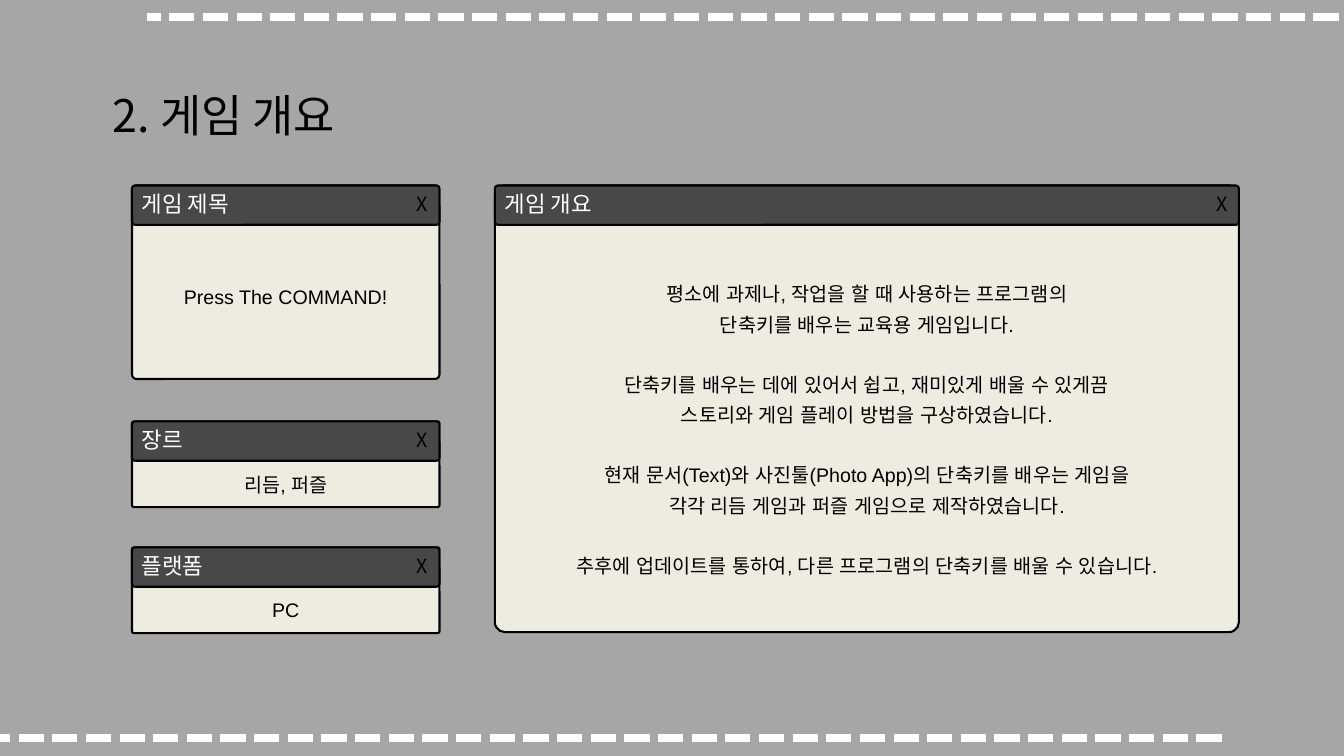
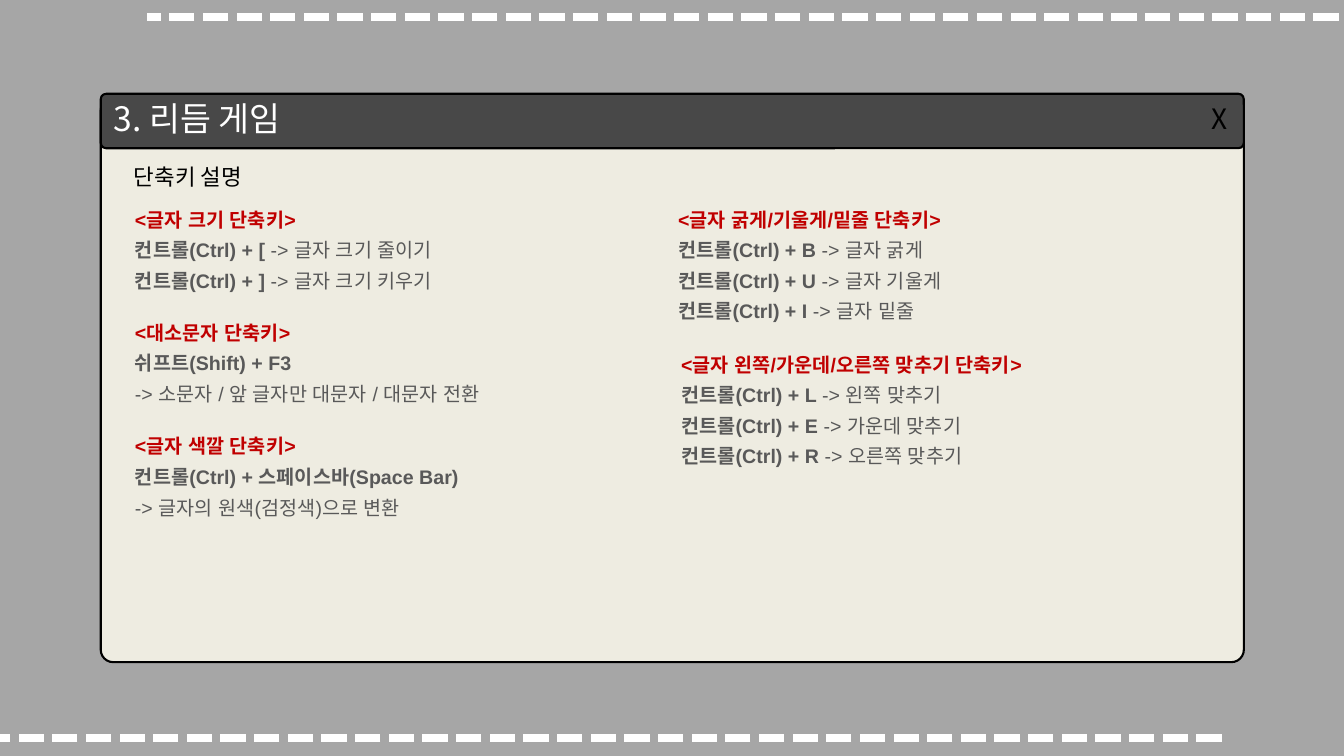
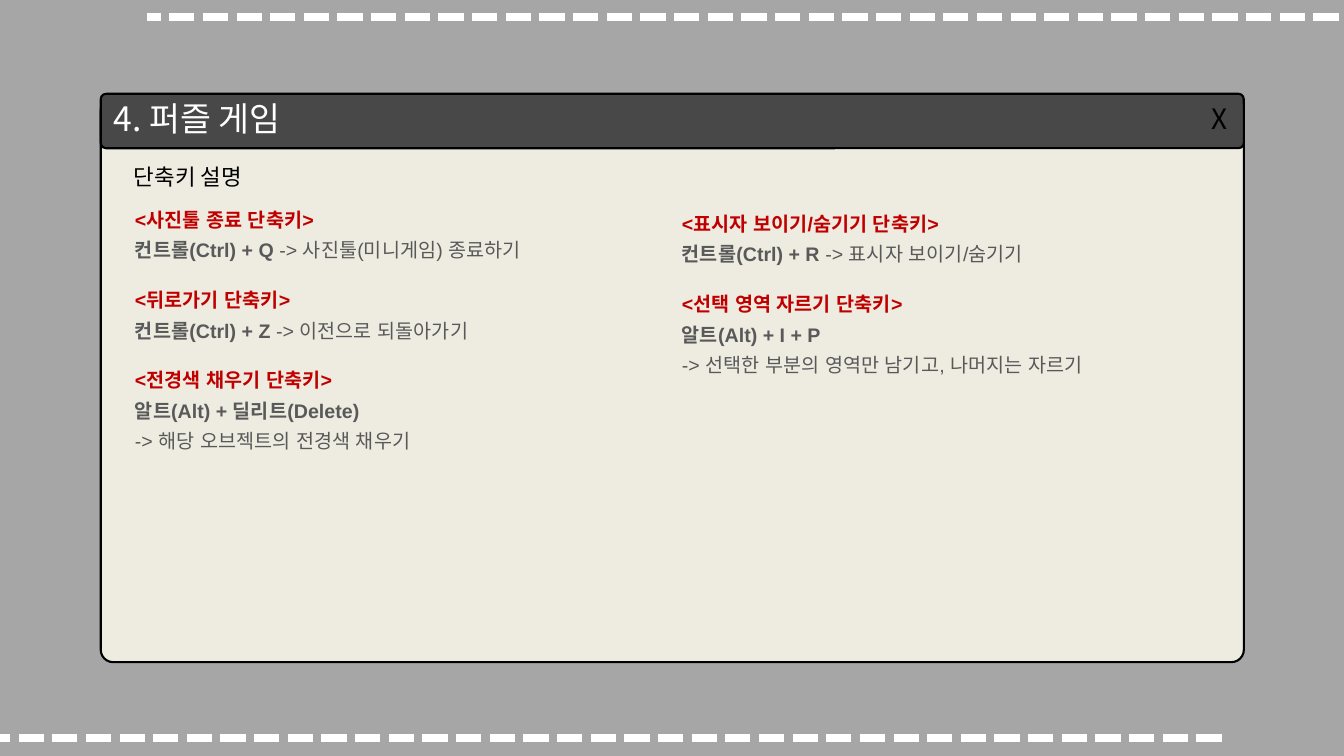
from dataclasses import dataclass

from pptx import Presentation
from pptx.dml.color import RGBColor
from pptx.enum import dml, shapes, text
from pptx.oxml.ns import qn
from pptx.slide import Slide
from pptx.util import Pt

# Shared look
GREY = RGBColor(0xA6, 0xA6, 0xA6)
DARK = RGBColor(0x48, 0x48, 0x48)
CREAM = RGBColor(0xEE, 0xEC, 0xE1)
BLACK = RGBColor(0, 0, 0)
WHITE = RGBColor(0xFF, 0xFF, 0xFF)
RED = RGBColor(0xC0, 0, 0)
ASH = RGBColor(0x59, 0x59, 0x59)
SANS = "Arial"
HEAD = "Noto Sans CJK KR"
LEFT, MID = text.PP_ALIGN.LEFT, text.PP_ALIGN.CENTER
LEAD = 1.3    # line spacing of body text
RISE = 0.16   # lift of heading text, as a share of its size
GAP = 21      # one line between paragraph groups


@dataclass
class Run:
    words: str
    size: float = 14
    tint: RGBColor = BLACK
    font: str = SANS
    bold: bool = False


@dataclass
class Style:
    bar: float      # title bar height
    curve: float    # title bar corner
    drop: float     # body starts this far below the bar's top
    size: float     # title size
    mark: float     # size of the X
    dx: float       # title offset
    dy: float
    inset: float    # centre of the X from the right edge


@dataclass
class Pane:
    x: float
    y: float
    w: float
    h: float
    title: str


@dataclass
class Note:
    x: float
    y: float
    head: str
    rows: list[tuple[str, str]]   # bold keys, plain meaning


SMALL = Style(28.1, 0.077, 0, 16, 14, 0, 2.2, 12.2)
LARGE = Style(38.9, 0.1, 2.9, 24, 20, 2.2, 2.9, 17.7)


# Drawing helpers
def write(slide: Slide, x: float, y: float, w: float, h: float,
          lines: list[list[Run]], side=LEFT, lead: float = 1.0,
          breaks: tuple[int, ...] = ()) -> None:
    box = slide.shapes.add_textbox(Pt(x), Pt(y), Pt(w), Pt(h))
    frame = box.text_frame
    frame.word_wrap = True
    for i, line in enumerate(lines):
        para = frame.paragraphs[0] if i == 0 else frame.add_paragraph()
        para.alignment = side
        para.line_spacing = lead
        if i in breaks:
            para.space_before = Pt(GAP)
        for item in line:
            run = para.add_run()
            run.text = item.words
            font = run.font
            font.name, font.size, font.bold = item.font, Pt(item.size), item.bold
            font.color.rgb = item.tint
            east = run._r.get_or_add_rPr().makeelement(
                qn("a:ea"), {"typeface": item.font})
            run._r.rPr.find(qn("a:latin")).addnext(east)


def label(slide: Slide, x: float, y: float, w: float, words: str,
          size: float, tint: RGBColor = BLACK, side=LEFT) -> None:
    write(slide, x, y - RISE * size, w, size * 1.45 + 7.2,
          [[Run(words, size, tint, HEAD)]], side)


def plate(slide: Slide, x: float, y: float, w: float, h: float,
          curve: float, fill: RGBColor) -> None:
    shape = slide.shapes.add_shape(
        shapes.MSO_SHAPE.ROUNDED_RECTANGLE, Pt(x), Pt(y), Pt(w), Pt(h))
    shape.adjustments[0] = curve
    shape.shadow.inherit = False
    shape.fill.solid()
    shape.fill.fore_color.rgb = fill
    shape.line.color.rgb = BLACK
    shape.line.width = Pt(1.5)


def window(slide: Slide, pane: Pane, style: Style) -> None:
    x, y, w = pane.x, pane.y, pane.w
    plate(slide, x, y + style.drop, w, pane.h - style.drop, 0.022, CREAM)
    plate(slide, x, y, w, style.bar, style.curve, DARK)
    top = y + style.dy
    label(slide, x + style.dx, top, w - 60, pane.title, style.size, WHITE)
    label(slide, x + w - style.inset - 20, top + (style.size - style.mark) / 2,
          40, "X", style.mark, BLACK, MID)


def dashes(slide: Slide, start: float, end: float, y: float) -> None:
    line = slide.shapes.add_connector(
        shapes.MSO_CONNECTOR.STRAIGHT, Pt(start), Pt(y), Pt(end), Pt(y))
    line.line.color.rgb = WHITE
    line.line.width = Pt(6)
    line.line.dash_style = dml.MSO_LINE.SQUARE_DOT
    props = line._element.spPr
    props.append(props.makeelement(qn("a:effectLst"), {}))


def page(deck) -> Slide:
    slide = deck.slides.add_slide(deck.slide_layouts[6])
    dashes(slide, 956.2, 105.1, 12.2)
    dashes(slide, 872.6, 0, 527)
    return slide


# Slide 1: overview
CARDS = [
    (Pane(94.3, 132.5, 219.6, 138.2, "게임 제목"), 200.2, "Press The COMMAND!"),
    (Pane(94.3, 301, 219.6, 61.2, "장르"), 334.1, "리듬, 퍼즐"),
    (Pane(94.3, 391, 219.6, 61.2, "플랫폼"), 423.4, "PC"),
]
ABOUT = Pane(353.5, 132.5, 531.4, 319, "게임 개요")
STORY = [
    ["평소에 과제나, 작업을 할 때 사용하는 프로그램의",
     "단축키를 배우는 교육용 게임입니다."],
    ["단축키를 배우는 데에 있어서 쉽고, 재미있게 배울 수 있게끔",
     "스토리와 게임 플레이 방법을 구상하였습니다."],
    ["현재 문서(Text)와 사진툴(Photo App)의 단축키를 배우는 게임을",
     "각각 리듬 게임과 퍼즐 게임으로 제작하였습니다."],
    ["추후에 업데이트를 통하여, 다른 프로그램의 단축키를 배울 수 있습니다."],
]


def outline(deck) -> None:
    slide = page(deck)
    label(slide, 73.4, 64.1, 523.4, "2. 게임 개요", 32)
    for pane, y, words in CARDS:
        window(slide, pane, SMALL)
        write(slide, pane.x, y, pane.w, 24.5, [[Run(words)]], MID)
    window(slide, ABOUT, SMALL)
    lines = [[Run(words)] for group in STORY for words in group]
    write(slide, 355, 193, 528.5, 217.4, lines, MID, LEAD, (2, 4, 6))


# Slides 2 and 3: shortcut lists
COL = 89.3
RHYTHM = [
    Note(COL, 139.7, "<글자 크기 단축키>", [
        ("컨트롤(Ctrl) + [ ", "-> 글자 크기 줄이기"),
        ("컨트롤(Ctrl) + ] ", "-> 글자 크기 키우기")]),
    Note(COL, 220.3, "<대소문자 단축키>", [
        ("쉬프트(Shift) + F3", ""),
        ("", "-> 소문자 / 앞 글자만 대문자 / 대문자 전환")]),
    Note(COL, 301.7, "<글자 색깔 단축키>", [
        ("컨트롤(Ctrl) + 스페이스바(Space Bar)", ""),
        ("", "-> 글자의 원색(검정색)으로 변환")]),
    Note(477.4, 139.7, "<글자 굵게/기울게/밑줄 단축키>", [
        ("컨트롤(Ctrl) + B ", "-> 글자 굵게"),
        ("컨트롤(Ctrl) + U ", "-> 글자 기울게"),
        ("컨트롤(Ctrl) + I ", "-> 글자 밑줄")]),
    Note(479.5, 243.4, "<글자 왼쪽/가운데/오른쪽 맞추기 단축키>", [
        ("컨트롤(Ctrl) + L ", "-> 왼쪽 맞추기"),
        ("컨트롤(Ctrl) + E ", "-> 가운데 맞추기"),
        ("컨트롤(Ctrl) + R ", "-> 오른쪽 맞추기")]),
]
PUZZLE = [
    Note(COL, 139.7, "<사진툴 종료 단축키>", [
        ("컨트롤(Ctrl) + Q ", "-> 사진툴(미니게임) 종료하기")]),
    Note(COL, 197.3, "<뒤로가기 단축키>", [
        ("컨트롤(Ctrl) + Z ", "-> 이전으로 되돌아가기")]),
    Note(COL, 254.2, "<전경색 채우기 단축키>", [
        ("알트(Alt) + 딜리트(Delete)", ""),
        ("", "-> 해당 오브젝트의 전경색 채우기")]),
    Note(480, 142.6, "<표시자 보이기/숨기기 단축키>", [
        ("컨트롤(Ctrl) + R ", "-> 표시자 보이기/숨기기")]),
    Note(480, 200.2, "<선택 영역 자르기 단축키>", [
        ("알트(Alt) + I + P", ""),
        ("", "-> 선택한 부분의 영역만 남기고, 나머지는 자르기")]),
]


def guide(deck, title: str, notes: list[Note]) -> None:
    slide = page(deck)
    window(slide, Pane(72, 67, 816.5, 406, title), LARGE)
    label(slide, 88.6, 115.9, 120, "단축키 설명", 16)
    for note in notes:
        lines = [[Run(note.head, tint=RED, bold=True)]]
        for keys, sense in note.rows:
            pair = [Run(keys, tint=ASH, bold=True), Run(sense, tint=ASH)]
            lines.append([run for run in pair if run.words])
        write(slide, note.x, note.y, 363, 21 * len(lines) + 5, lines, lead=LEAD)


def main() -> None:
    deck = Presentation()
    deck.slide_width, deck.slide_height = Pt(960), Pt(540)
    fill = deck.slide_master.background.fill
    fill.solid()
    fill.fore_color.rgb = GREY
    outline(deck)
    guide(deck, "3. 리듬 게임", RHYTHM)
    guide(deck, "4. 퍼즐 게임", PUZZLE)
    deck.save("out.pptx")


if __name__ == "__main__":
    main()
